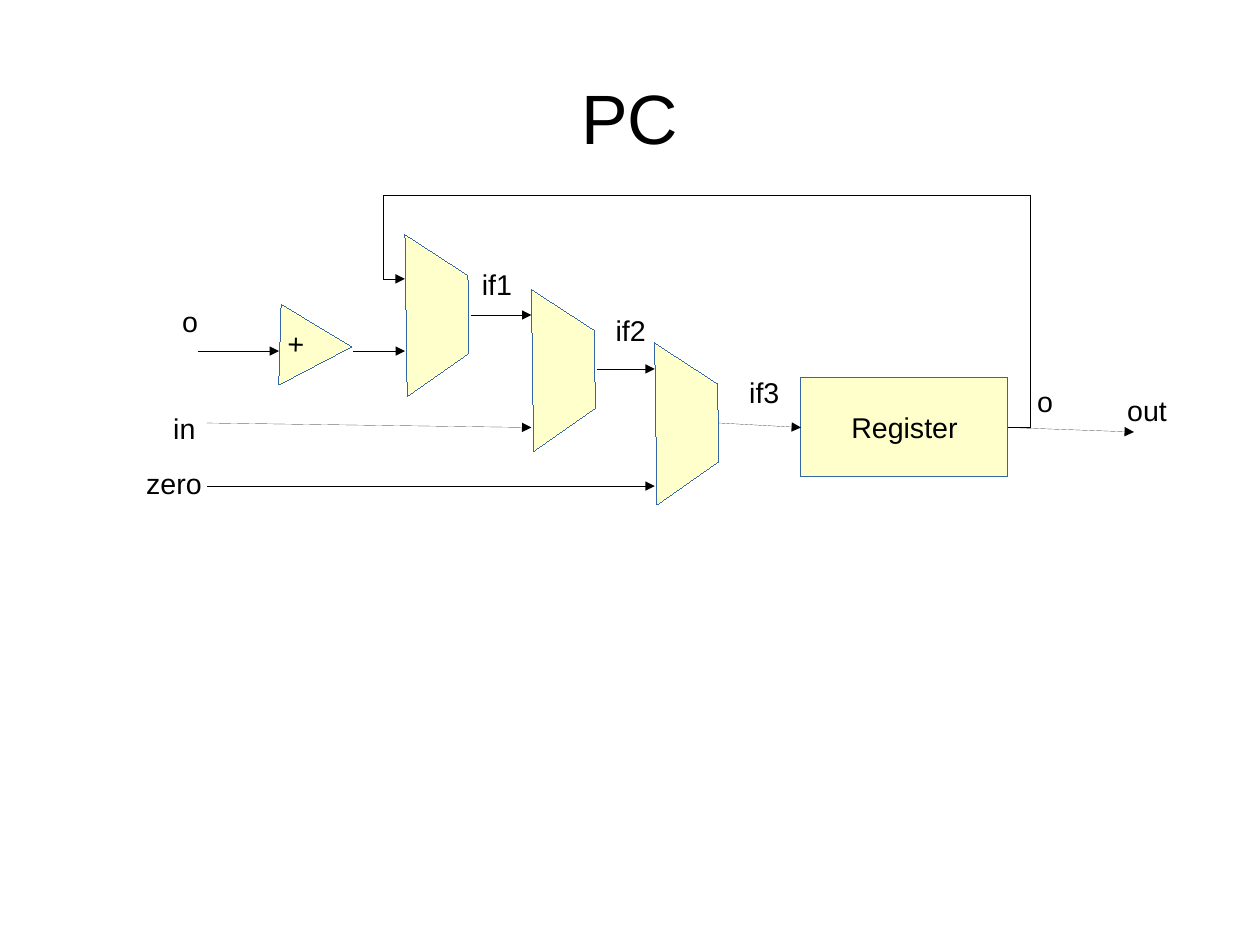
from typing import NamedTuple

from lxml import etree
from pptx import Presentation
from pptx.dml.color import RGBColor
from pptx.enum.shapes import MSO_CONNECTOR, MSO_SHAPE
from pptx.enum.text import MSO_ANCHOR, MSO_AUTO_SIZE, PP_ALIGN
from pptx.oxml.ns import qn
from pptx.util import Cm, Pt

STRAIGHT, ELBOW = MSO_CONNECTOR.STRAIGHT, MSO_CONNECTOR.ELBOW
RECTANGLE, TRIANGLE = MSO_SHAPE.RECTANGLE, MSO_SHAPE.ISOSCELES_TRIANGLE
MIDDLE, TOP = MSO_ANCHOR.MIDDLE, MSO_ANCHOR.TOP
CENTER, LEFT = PP_ALIGN.CENTER, PP_ALIGN.LEFT
GROW = MSO_AUTO_SIZE.SHAPE_TO_FIT_TEXT

BLACK = RGBColor(0x00, 0x00, 0x00)
CREAM = RGBColor(0xFF, 0xFF, 0xCC)
BLUE = RGBColor(0x34, 0x65, 0xA4)
FONT = "Arial"
HAIRLINE = Pt(0.01)
LEFT_SIDE, RIGHT_SIDE = 1, 3


class Point(NamedTuple):
    x: float
    y: float


class Label(NamedTuple):
    text: str
    x: float
    y: float
    width: float


class Arrow(NamedTuple):
    start: Point
    end: Point


# All coordinates are in centimetres
MUX_OUTLINE = [Point(0, 0), Point(1.4, 0.91), Point(1.42, 2.64), Point(0.05, 3.6)]
MUXES = [Point(9, 5.21), Point(11.81, 6.43), Point(14.55, 7.62)]
MUX1_X, MUX2_X, MUX3_X = (mux.x for mux in MUXES)

ARROWS = [
    Arrow(Point(4.4, 7.8), Point(6.2, 7.8)),
    Arrow(Point(7.85, 7.8), Point(MUX1_X, 7.8)),
    Arrow(Point(10.46, 7), Point(MUX2_X, 7)),
    Arrow(Point(13.26, 8.2), Point(MUX3_X, 8.2)),
    Arrow(Point(4.6, 9.4), Point(MUX2_X, 9.5)),
    Arrow(Point(4.6, 10.8), Point(MUX3_X, 10.8)),
]
REGISTER_IN = Arrow(Point(15.98, 9.4), Point(17.8, 9.5))
REGISTER_OUT = Arrow(Point(22.4, 9.5), Point(25.2, 9.6))
FEEDBACK = Arrow(Point(22.4, 9.5), Point(MUX1_X, 6.2))
FEEDBACK_BENDS = [-3700, 156300, 103700]

LABELS = [
    Label("o", 3.8, 6.63, 0.86),
    Label("in", 3.6, 9, 1),
    Label("zero", 3, 10.23, 1.75),
    Label("if1", 10.46, 5.8, 1.17),
    Label("if2", 13.43, 6.83, 1.17),
    Label("if3", 16.4, 8.2, 1.17),
    Label("o", 22.8, 8.4, 0.86),
    Label("out", 24.8, 8.6, 1.4),
]


def write(sp, text: str, size: int = 18, align=CENTER, anchor=MIDDLE) -> None:
    tf = sp.text_frame
    tf.word_wrap = False
    tf.vertical_anchor = anchor
    p = tf.paragraphs[0]
    p.alignment = align
    r = p.add_run()
    r.text = text
    r.font.name = FONT
    r.font.size = Pt(size)
    r.font.color.rgb = BLACK


def paint(sp) -> None:
    sp.shadow.inherit = False
    sp.fill.solid()
    sp.fill.fore_color.rgb = CREAM
    sp.line.color.rgb = BLUE
    sp.line.width = HAIRLINE


def add_block(s, kind, x: float, y: float, w: float, h: float, text: str):
    sp = s.shapes.add_shape(kind, Cm(x), Cm(y), Cm(w), Cm(h))
    paint(sp)
    write(sp, text)
    return sp


def add_mux(s, origin: Point) -> None:
    corners = [(Cm(origin.x + c.x), Cm(origin.y + c.y)) for c in MUX_OUTLINE]
    builder = s.shapes.build_freeform(*corners[0])
    builder.add_line_segments(corners[1:], close=True)
    paint(builder.convert_to_shape())


def add_arrow(s, arrow: Arrow, kind=STRAIGHT):
    (x1, y1), (x2, y2) = arrow
    line = s.shapes.add_connector(kind, Cm(x1), Cm(y1), Cm(x2), Cm(y2))
    line.line.color.rgb = BLACK
    line.line.width = HAIRLINE
    ln = line._element.spPr.find(qn("a:ln"))
    etree.SubElement(ln, qn("a:tailEnd"), type="triangle")
    etree.SubElement(line._element.spPr, qn("a:effectLst"))
    return line


def add_feedback(s) -> None:
    line = add_arrow(s, FEEDBACK, ELBOW)
    geometry = line._element.spPr.find(qn("a:prstGeom"))
    geometry.set("prst", "bentConnector5")
    guides = geometry.find(qn("a:avLst"))
    for number, bend in enumerate(FEEDBACK_BENDS, 1):
        etree.SubElement(guides, qn("a:gd"), name=f"adj{number}", fmla=f"val {bend}")


def add_label(s, label: Label) -> None:
    sp = s.shapes.add_textbox(Cm(label.x), Cm(label.y), Cm(label.width), Cm(0.97))
    write(sp, label.text, align=LEFT, anchor=TOP)
    sp.text_frame.auto_size = GROW


def main() -> None:
    prs = Presentation()
    prs.slide_width, prs.slide_height = Cm(28), Cm(21)
    s = prs.slides.add_slide(prs.slide_layouts[6])

    # Title
    title = s.shapes.add_textbox(Cm(1.4), Cm(0.84), Cm(25.2), Cm(3.5))
    write(title, "PC", size=44)

    # Incrementer, multiplexers and register
    adder = add_block(s, TRIANGLE, 6.12, 6.88, 1.8, 1.6, "+")
    adder.rotation = 91.7
    for mux in MUXES:
        add_mux(s, mux)
    register = add_block(s, RECTANGLE, 17.8, 8.4, 4.6, 2.2, "Register")

    # Signals
    for arrow in ARROWS:
        add_arrow(s, arrow)
    add_arrow(s, REGISTER_IN).end_connect(register, LEFT_SIDE)
    add_arrow(s, REGISTER_OUT).begin_connect(register, RIGHT_SIDE)
    add_feedback(s)

    # Signal names
    for label in LABELS:
        add_label(s, label)

    prs.save("out.pptx")


if __name__ == "__main__":
    main()
